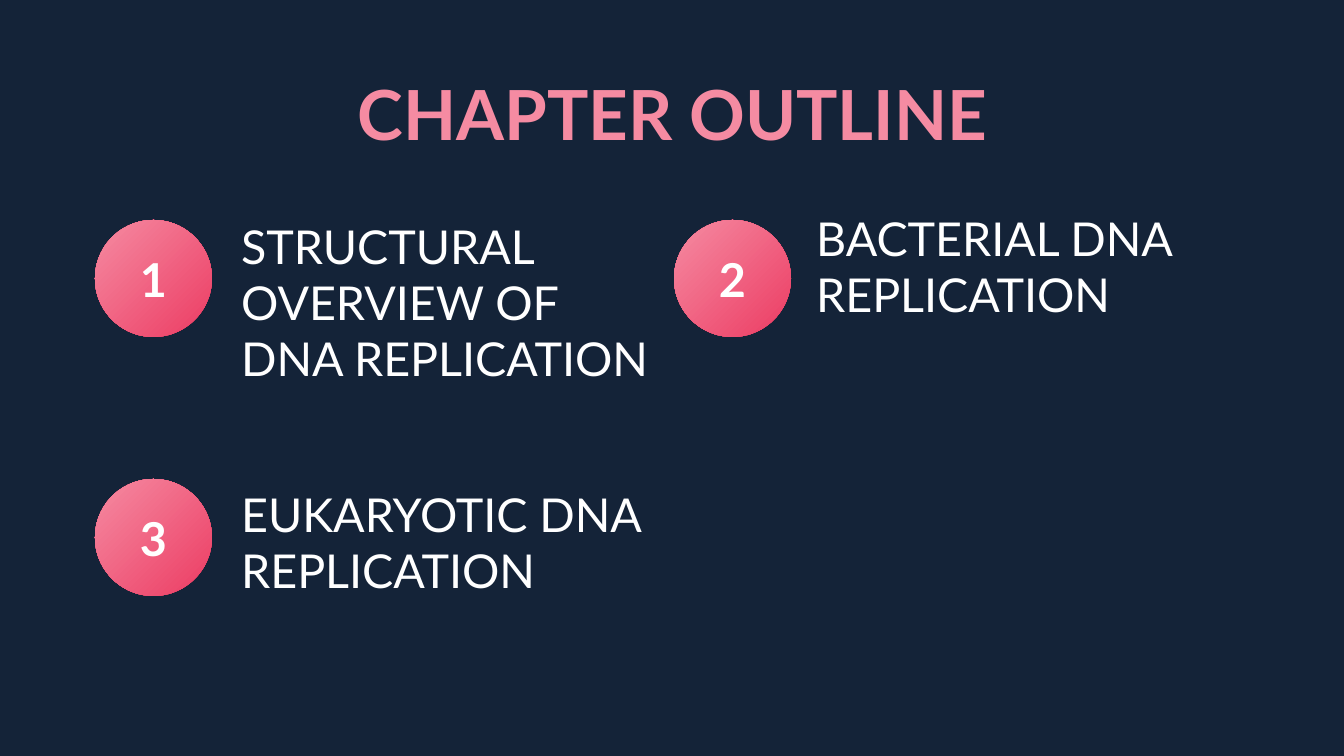
from lxml import etree
from pptx import Presentation
from pptx.dml.color import RGBColor
from pptx.enum.shapes import MSO_SHAPE
from pptx.enum.text import MSO_ANCHOR, MSO_AUTO_SIZE, PP_ALIGN
from pptx.oxml import parse_xml
from pptx.util import Emu, Inches, Pt

OVAL = MSO_SHAPE.OVAL
MIDDLE = MSO_ANCHOR.MIDDLE
NO_FIT = MSO_AUTO_SIZE.NONE
LEFT, CENTER = PP_ALIGN.LEFT, PP_ALIGN.CENTER

# Content: number, label, column, row, label position relative to its circle
TITLE = "CHAPTER OUTLINE"
CHAPTERS = [
    ("1", "STRUCTURAL OVERVIEW OF DNA REPLICATION", 0, 0, (133, 55)),
    ("2", "BACTERIAL DNA REPLICATION", 1, 0, (129, 19)),
    ("3", "EUKARYOTIC DNA REPLICATION", 0, 1, (133, 36)),
]

# Style and grid, lengths in px
FONT = "Lato"
NAVY, WHITE, PINK, ROSE = "142338", "FFFFFF", "F58BA2", "EC3C63"
PX_PER_INCH = 134.4
GRID_LEFT, GRID_TOP = 95, 220
COLUMN_STEP, ROW_STEP = 579, 259
CIRCLE = 117
LABEL_SIZE = (450, 54)
NUMBER_OFFSET, NUMBER_SIZE = (5, 34), (107, 50)
CORNER_PATH = (
    '<a:path xmlns:a="http://schemas.openxmlformats.org/drawingml/2006/main" path="circle">'
    '<a:fillToRect r="100000" b="100000"/></a:path>'
)


def px(length):
    return Emu(round(length * 914400 / PX_PER_INCH))


def color(value):
    return RGBColor.from_string(value)


def write(shape, text, box, size, ink, bold=False, align=LEFT):
    shape.left, shape.top, shape.width, shape.height = map(px, box)
    frame = shape.text_frame
    frame.text = text
    frame.word_wrap = True
    frame.auto_size = NO_FIT
    frame.vertical_anchor = MIDDLE
    frame.margin_left = frame.margin_right = Inches(0.1)
    frame.margin_top = frame.margin_bottom = Inches(0.1)
    paragraph = frame.paragraphs[0]
    paragraph.alignment = align
    font = paragraph.runs[0].font
    font.name, font.size, font.bold = FONT, Pt(size), bold
    font.color.rgb = color(ink)


def add_circle(slide, left, top):
    circle = slide.shapes.add_shape(OVAL, px(left), px(top), px(CIRCLE), px(CIRCLE))
    circle.shadow.inherit = False
    circle.line.fill.background()
    circle.fill.gradient()
    for stop, value in zip(circle.fill.gradient_stops, (PINK, ROSE)):
        stop.color.rgb = color(value)
    stops = circle.fill.gradient_stops
    stops[0].position, stops[1].position = 0, 1
    # Radial gradient spreading from the top left corner
    linear = circle._element.spPr.find(".//{*}lin")
    linear.getparent().replace(linear, parse_xml(CORNER_PATH))


presentation = Presentation()
presentation.slide_width, presentation.slide_height = px(1344), px(756)
slide = presentation.slides.add_slide(presentation.slide_layouts[5])
slide.background.fill.solid()
slide.background.fill.fore_color.rgb = color(NAVY)

# Title
write(slide.shapes.title, TITLE, (106, 79, 1133, 67), 37, PINK, True, CENTER)

# Numbered chapters
for number, label, column, row, label_offset in CHAPTERS:
    left = GRID_LEFT + column * COLUMN_STEP
    top = GRID_TOP + row * ROW_STEP
    add_circle(slide, left, top)
    for text, (across, down), size, bold, align in (
        (label, label_offset, LABEL_SIZE, False, LEFT),
        (number, NUMBER_OFFSET, NUMBER_SIZE, True, CENTER),
    ):
        text_box = slide.shapes.add_textbox(0, 0, 0, 0)
        write(text_box, text, (left + across, top + down, *size), 25, WHITE, bold, align)

presentation.save("out.pptx")
